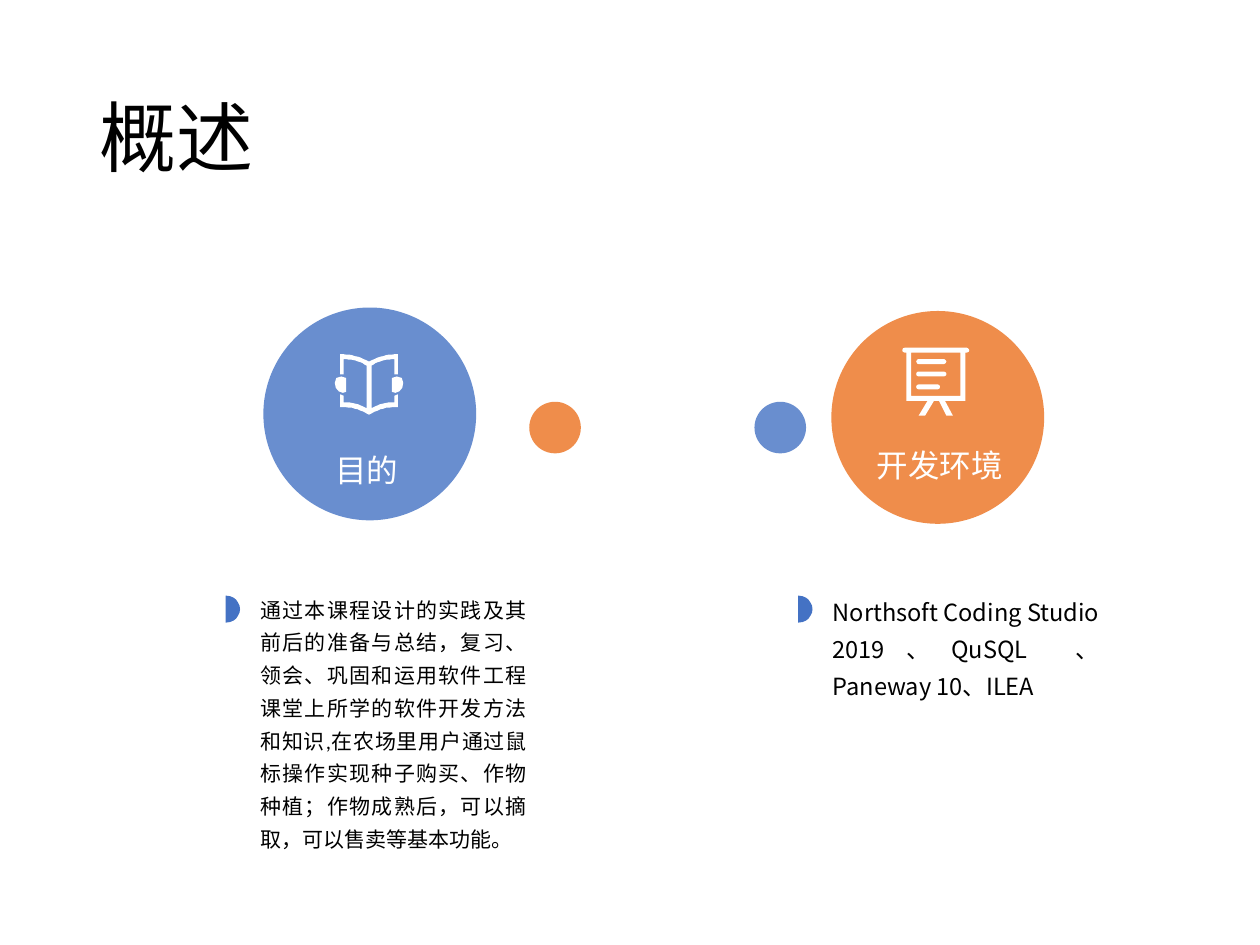
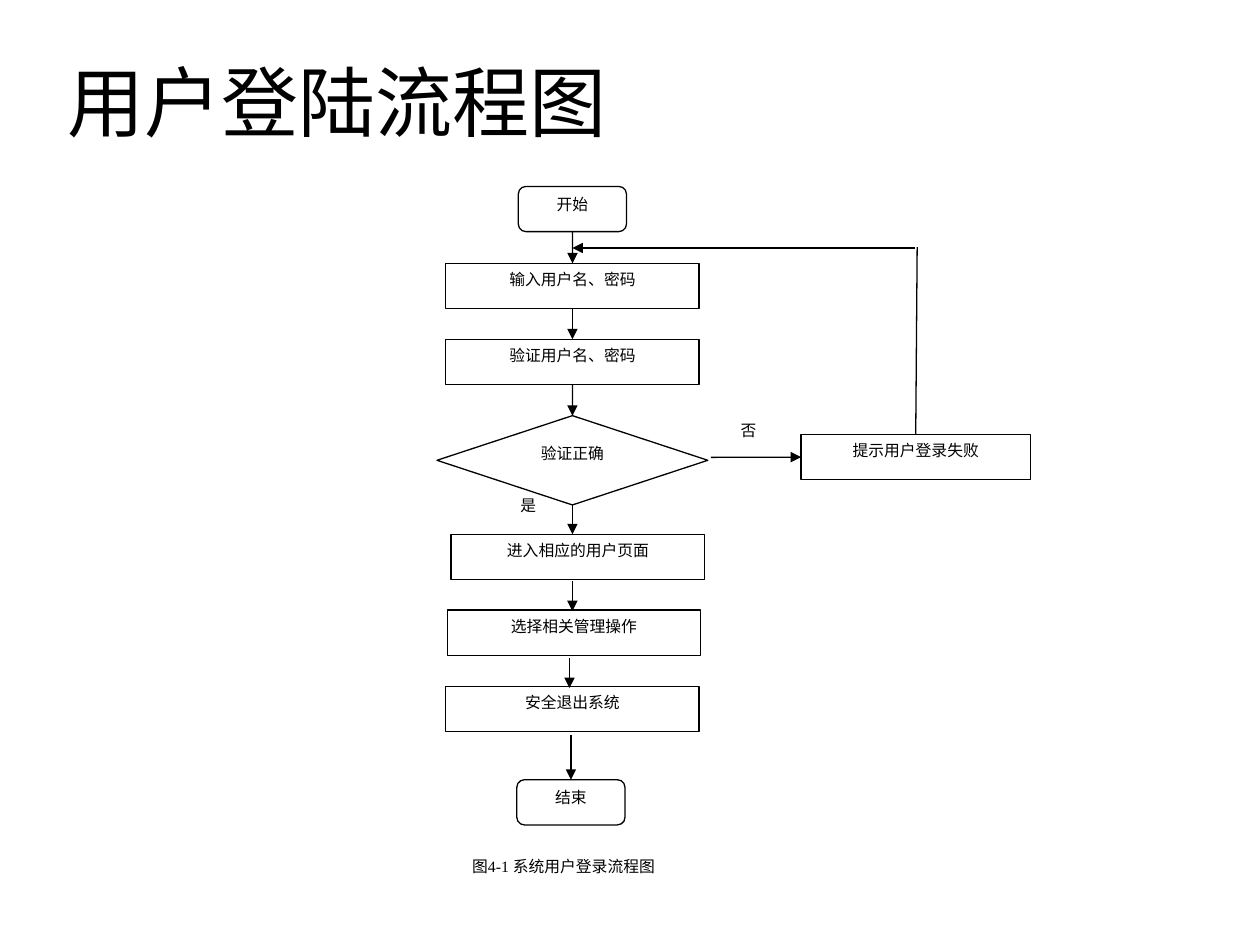
import math
from dataclasses import dataclass

import pptx
import pptx.dml.color
import pptx.enum.shapes
import pptx.enum.text
import pptx.oxml.ns
import pptx.oxml.xmlchemy
import pptx.util

Cm = pptx.util.Cm
SHAPE = pptx.enum.shapes.MSO_SHAPE
ALIGN = pptx.enum.text.PP_ALIGN
ANCHOR = pptx.enum.text.MSO_ANCHOR


@dataclass(frozen=True)
class Theme:
    ink: str = "000000"
    paper: str = "FFFFFF"
    blue: str = "4472C4"
    orange: str = "ED7D31"
    sans: str = "Calibri"
    serif: str = "Times New Roman"
    chinese: str = "Noto Sans CJK SC"
    title: float = 44
    label: float = 18
    body: float = 12
    tools: float = 13.5
    flow: float = 9
    line: float = 0.75


THEME = Theme()
OPACITY = {THEME.blue: 80, THEME.orange: 87}

# All positions and sizes are in centimetres.
OVERVIEW_TITLE = ("概述", 1.75, 1.02)
FLOW_TITLE = ("用户登陆流程图", 1.12, 0.3)
TITLE_SIZE = (21.89, 3.68)

CIRCLES = [  # left, top, diameter, colour
    (16.76, 6.27, 4.29, THEME.orange),
    (5.31, 6.2, 4.29, THEME.blue),
    (10.67, 8.1, 1.04, THEME.orange),
    (15.21, 8.1, 1.04, THEME.blue),
]
LABELS = [("目的", 5.79, 8.97), ("开发环境", 17.35, 8.86)]
DETAILS = [  # text, left, size, font
    ("通过本课程设计的实践及其前后的准备与总结，复习、领会、巩固和运用软件工程"
     "课堂上所学的软件开发方法和知识,在农场里用户通过鼠标操作实现种子购买、"
     "作物种植；作物成熟后，可以摘取，可以售卖等基本功能。",
     5.0, THEME.body, THEME.sans),
    ("Northsoft Coding Studio 2019、QuSQL 、Paneway 10、ILEA",
     16.54, THEME.tools, THEME.chinese),
]
DETAIL_TOP, DETAIL_WIDTH, DETAIL_HEIGHT = 11.76, 5.87, 5.54
BULLET_OFFSET, BULLET_TOP, BULLET_RADIUS = -0.45, 12.01, 27

STEP_WIDTH, STEP_HEIGHT = 5.11, 0.91
END_WIDTH = 2.18
AXIS = 11.54
NODES = {  # text: shape, centre x, top, width, height
    "开始": (SHAPE.FLOWCHART_ALTERNATE_PROCESS, AXIS, 3.76, END_WIDTH, STEP_HEIGHT),
    "输入用户名、密码": (SHAPE.RECTANGLE, AXIS, 5.31, STEP_WIDTH, STEP_HEIGHT),
    "验证用户名、密码": (SHAPE.RECTANGLE, AXIS, 6.84, STEP_WIDTH, STEP_HEIGHT),
    "提示用户登录失败": (SHAPE.RECTANGLE, 18.46, 8.76, 4.62, STEP_HEIGHT),
    "进入相应的用户页面": (SHAPE.RECTANGLE, 11.65, 10.77, STEP_WIDTH, STEP_HEIGHT),
    "选择相关管理操作": (SHAPE.RECTANGLE, 11.57, 12.3, STEP_WIDTH, STEP_HEIGHT),
    "安全退出系统": (SHAPE.RECTANGLE, AXIS, 13.84, STEP_WIDTH, STEP_HEIGHT),
    "验证正确": (SHAPE.FLOWCHART_DECISION, AXIS, 8.38, 5.46, 1.8),
    "结束": (SHAPE.FLOWCHART_ALTERNATE_PROCESS, 11.51, 15.72, END_WIDTH, STEP_HEIGHT),
}
TOP, LEFT, BOTTOM, RIGHT = range(4)
LINKS = [  # begin, end, arrow; an end is a point or (node, side)
    (("开始", BOTTOM), ("输入用户名、密码", TOP), True),
    (("输入用户名、密码", BOTTOM), ("验证用户名、密码", TOP), True),
    (("验证用户名、密码", BOTTOM), ("验证正确", TOP), True),
    (("验证正确", BOTTOM), (AXIS, 10.77), True),
    ((AXIS, 11.71), (AXIS, 12.32), True),
    ((11.48, 13.26), (11.48, 13.87), True),
    ((11.51, 14.81), ("结束", TOP), True),
    ((14.33, 9.22), ("提示用户登录失败", LEFT), True),
    ((18.45, 5.0), (AXIS, 5.0), True),
    (("提示用户登录失败", TOP), (18.49, 4.98), False),
]
NOTES = [  # text, left, top, width
    ("是", 10.24, 9.86, 1.09),
    ("否", 14.68, 8.36, 1.09),
    ("图4-1 系统用户登录流程图", 9.27, 17.15, STEP_WIDTH),
]


def rgb(colour):
    return pptx.dml.color.RGBColor.from_string(colour)


def write(frame, text, size, font, colour=THEME.ink, align=ALIGN.LEFT, spacing=None):
    frame.word_wrap = True
    para = frame.paragraphs[0]
    para.alignment = align
    if spacing:
        para.line_spacing = spacing
    span = para.add_run()
    span.text = text
    span.font.size = pptx.util.Pt(size)
    span.font.name = font
    span.font.color.rgb = rgb(colour)
    add_xml(span.font._element, "ea", typeface=THEME.chinese)


def add_xml(parent, tag, **attributes):
    child = pptx.oxml.xmlchemy.OxmlElement("a:" + tag)
    for key, value in attributes.items():
        child.set(key, value)
    parent.append(child)


def add_text(page, text, left, top, width, height, size, font, **style):
    box = page.shapes.add_textbox(Cm(left), Cm(top), Cm(width), Cm(height))
    write(box.text_frame, text, size, font, **style)
    return box


def add_title(page, text, left, top):
    box = add_text(page, text, left, top, *TITLE_SIZE, THEME.title, THEME.sans, spacing=0.9)
    box.text_frame.vertical_anchor = ANCHOR.MIDDLE


def paint(shape, colour, outline=None, opacity=None):
    shape.shadow.inherit = False
    shape.fill.solid()
    shape.fill.fore_color.rgb = rgb(colour)
    if opacity:
        solid = shape._element.spPr.find(pptx.oxml.ns.qn("a:solidFill"))
        add_xml(solid[0], "alpha", val=str(opacity * 1000))
    if outline:
        shape.line.color.rgb = rgb(outline)
        shape.line.width = pptx.util.Pt(THEME.line)
    else:
        shape.line.fill.background()


def add_outline(page, contours, left, top, colour):
    """Draw closed contours, in hundredths of a centimetre, as one shape."""
    builder = page.shapes.build_freeform(*contours[0][0], scale=Cm(0.01))
    for number, contour in enumerate(contours):
        if number:
            builder.move_to(*contour[0])
        builder.add_line_segments(contour[1:], close=True)
    paint(builder.convert_to_shape(Cm(left), Cm(top)), colour)


def arc(x, y, radius, first, last, steps=12):
    angles = [math.radians(first + (last - first) * i / steps) for i in range(steps + 1)]
    return [(x + radius * math.cos(a), y + radius * math.sin(a)) for a in angles]


def curve(start, control, end, steps=10):
    """Sample a quadratic Bézier curve."""
    def at(t):
        return tuple((1 - t) ** 2 * a + 2 * t * (1 - t) * b + t * t * c
                     for a, b, c in zip(start, control, end))
    return [at(i / steps) for i in range(steps + 1)]


def pill(left, right, top, height=10):
    r = height / 2
    return (arc(left + r, top + r, r, 90, 270, 6)
            + arc(right - r, top + r, r, -90, 90, 6))


def book_icon():
    width = 142

    def mirror(points):
        return [(width - x, y) for x, y in reversed(points)]

    half = (curve((71, 15), (43, 0), (13, 0)) + [(13, 41), (20, 41)]
            + curve((20, 10), (46, 10), (66, 23))
            + curve((66, 109), (46, 97), (20, 97)) + [(20, 84), (13, 81)]
            + curve((13, 107), (43, 105), (71, 122)))
    hand = [(25, 48), (15, 45), (5, 48), (2, 58), (4, 68), (10, 75), (18, 78), (25, 76)]
    return [half + mirror(half), hand, mirror(hand)]


def board_icon():
    frame = [(8, 10), (127, 10), (127, 107), (86, 107), (102, 137), (89, 137), (74, 107),
             (64, 107), (46, 137), (33, 137), (51, 107), (8, 107)]
    hole = [(18, 10), (18, 97), (117, 97), (117, 10)]
    return [frame, hole, pill(0, 135, 0),
            pill(28, 89, 23), pill(28, 89, 48), pill(28, 76, 74)]


def build_overview(page):
    add_title(page, *OVERVIEW_TITLE)
    for left, top, size, colour in CIRCLES:
        circle = page.shapes.add_shape(SHAPE.OVAL, Cm(left), Cm(top), Cm(size), Cm(size))
        paint(circle, colour, opacity=OPACITY[colour])
    add_outline(page, board_icon(), 18.19, 7.01, THEME.paper)
    add_outline(page, book_icon(), 6.73, 7.14, THEME.paper)
    for text, left, top in LABELS:
        add_text(page, text, left, top, 3.2, 1.02, THEME.label, THEME.sans,
                 colour=THEME.paper, align=ALIGN.CENTER)
    half_disc = [(0, 0)] + arc(2, BULLET_RADIUS, BULLET_RADIUS, -90, 90) + [(0, 2 * BULLET_RADIUS)]
    for text, left, size, font in DETAILS:
        add_text(page, text, left, DETAIL_TOP, DETAIL_WIDTH, DETAIL_HEIGHT, size, font,
                 align=ALIGN.JUSTIFY, spacing=1.3)
        add_outline(page, [half_disc], left + BULLET_OFFSET, BULLET_TOP, THEME.blue)


def add_link(page, boxes, begin, end, arrow):
    def is_joined(spot):
        return spot[0] in boxes

    points = [Cm(0) if is_joined(spot) else Cm(value) for spot in (begin, end) for value in spot]
    link = page.shapes.add_connector(pptx.enum.shapes.MSO_CONNECTOR.STRAIGHT, *points)
    for spot, join in ((begin, link.begin_connect), (end, link.end_connect)):
        if is_joined(spot):
            join(boxes[spot[0]], spot[1])
    link.line.color.rgb = rgb(THEME.ink)
    link.line.width = pptx.util.Pt(THEME.line)
    if arrow:
        add_xml(link.line._get_or_add_ln(), "tailEnd", type="triangle")
    add_xml(link._element.spPr, "effectLst")


def build_flow(page):
    add_title(page, *FLOW_TITLE)
    boxes = {}
    for text, (kind, centre, top, width, height) in NODES.items():
        box = page.shapes.add_shape(kind, Cm(centre - width / 2), Cm(top), Cm(width), Cm(height))
        paint(box, THEME.paper, outline=THEME.ink)
        box.text_frame.vertical_anchor = ANCHOR.TOP
        write(box.text_frame, text, THEME.flow, THEME.serif, align=ALIGN.CENTER)
        boxes[text] = box
    for link in LINKS:
        add_link(page, boxes, *link)
    for text, left, top, width in NOTES:
        add_text(page, text, left, top, width, STEP_HEIGHT, THEME.flow, THEME.serif,
                 align=ALIGN.JUSTIFY)


def main():
    deck = pptx.Presentation()
    deck.slide_width, deck.slide_height = Cm(25.4), Cm(19.05)
    for build in (build_overview, build_flow):
        build(deck.slides.add_slide(deck.slide_layouts[6]))
    deck.save("out.pptx")


if __name__ == "__main__":
    main()
